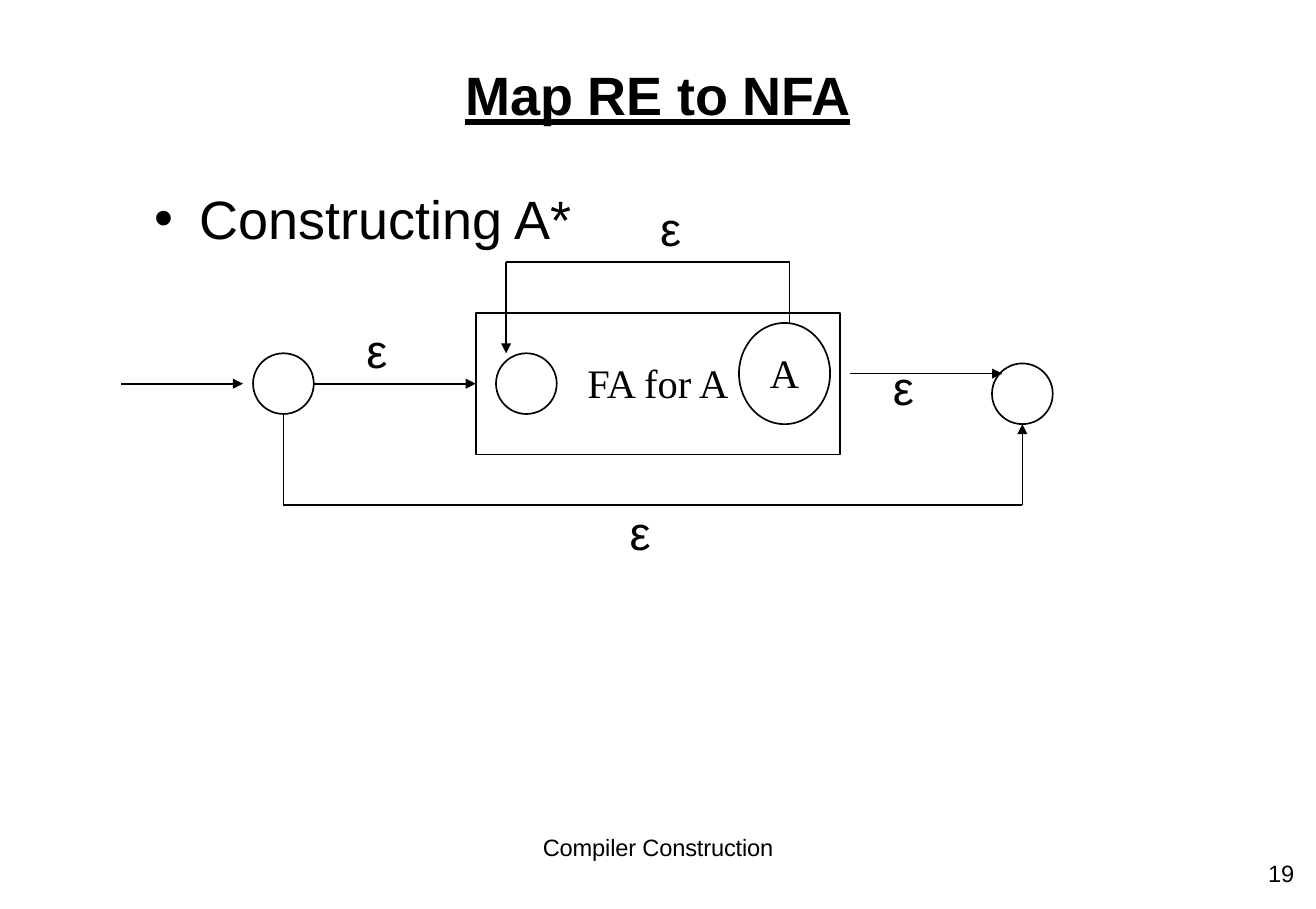
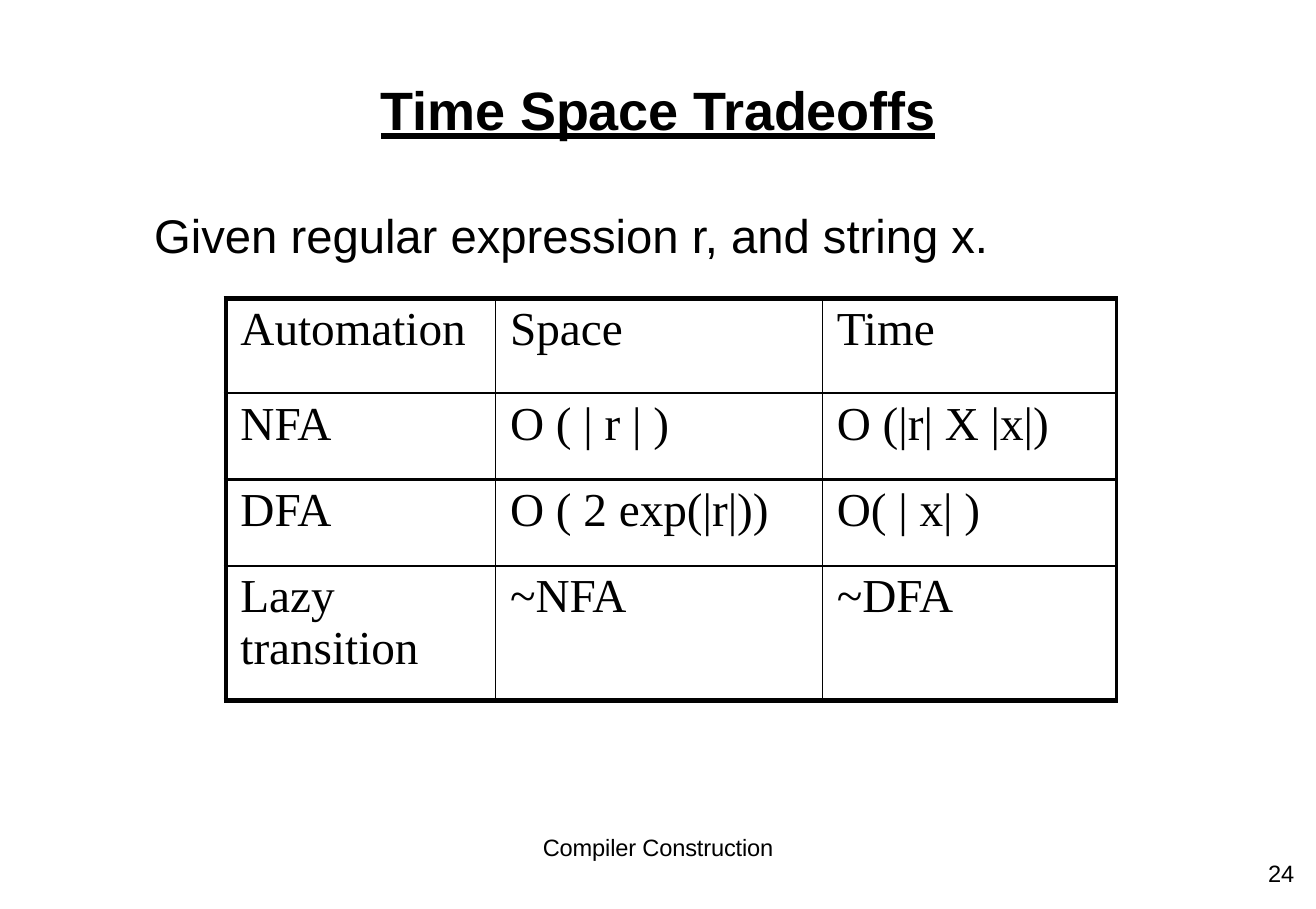
from itertools import pairwise

from lxml import etree
from pptx import Presentation
from pptx.dml.color import RGBColor
from pptx.enum.shapes import MSO_CONNECTOR, MSO_SHAPE
from pptx.enum.text import MSO_ANCHOR, MSO_UNDERLINE, PP_ALIGN
from pptx.oxml.ns import qn
from pptx.util import Inches, Pt

STRAIGHT = MSO_CONNECTOR.STRAIGHT
OVAL, RECTANGLE = MSO_SHAPE.OVAL, MSO_SHAPE.RECTANGLE
LEFT, CENTER = PP_ALIGN.LEFT, PP_ALIGN.CENTER
TOP, MIDDLE = MSO_ANCHOR.TOP, MSO_ANCHOR.MIDDLE
HEAVY = MSO_UNDERLINE.HEAVY_LINE

SLIDE_WIDTH, SLIDE_HEIGHT = Pt(780), Pt(539)
BODY_LEFT = 1.25
SANS, SERIF = "Arial", "Times New Roman"
INK, STROKE = "000000", "010101"
LEFT_SITE = 1
UNIT = 1 / 12  # inches per step of the automaton grid


def color(hex_string):
    return RGBColor.from_string(hex_string)


def add_run(paragraph, text, size, font=SANS, bold=False, underline=False, spacing=0):
    """Add a run; spacing is in hundredths of a point."""
    run = paragraph.add_run()
    run.text = text
    run.font.name, run.font.size = font, Pt(size)
    run.font.bold, run.font.underline = bold, underline
    run.font.color.rgb = color(INK)
    if spacing:
        run._r.get_or_add_rPr().set("spc", str(spacing))


def set_frame(frame, inset_top=0.0, inset_bottom=0.0, anchor=TOP, wrap=True):
    frame.margin_left = frame.margin_right = 0
    frame.margin_top, frame.margin_bottom = Inches(inset_top), Inches(inset_bottom)
    frame.vertical_anchor, frame.word_wrap = anchor, wrap


def add_text(slide, box, text, size, align=LEFT, inset_top=0.01, bullet=False, **style):
    frame = slide.shapes.add_textbox(*map(Inches, box)).text_frame
    set_frame(frame, inset_top)
    paragraph = frame.paragraphs[0]
    paragraph.alignment = align
    if bullet:
        properties = paragraph._p.get_or_add_pPr()
        properties.set("marL", str(Inches(0.39)))
        properties.set("indent", str(-Inches(0.37)))
        etree.SubElement(properties, qn("a:buFont"), typeface=SANS)
        etree.SubElement(properties, qn("a:buChar"), char="•")
    add_run(paragraph, text, size, **style)


def add_base_slide(deck, title, title_top, number):
    """Add a blank slide with the shared title, footer and page number."""
    slide = deck.slides.add_slide(deck.slide_layouts[6])
    width = SLIDE_WIDTH.inches
    add_text(slide, (0, title_top, width, 0.56), title, 32, CENTER,
             bold=True, underline=HEAVY, spacing=-10)
    add_text(slide, (0, 6.86, width, 0.25), "Compiler Construction", 14, CENTER,
             inset_top=0, spacing=-10)
    add_text(slide, (10.44, 7.07, 0.3, 0.25), number, 14, inset_top=0, spacing=-10)
    return slide


def add_node(slide, kind, box, label=""):
    node = slide.shapes.add_shape(kind, *map(Inches, box))
    node.shadow.inherit = False
    node.fill.background()
    node.line.color.rgb, node.line.width = color(STROKE), Pt(1)
    if label:
        set_frame(node.text_frame, inset_bottom=0.02, anchor=MIDDLE, wrap=False)
        paragraph = node.text_frame.paragraphs[0]
        paragraph.alignment = CENTER
        add_run(paragraph, label, 24, SERIF)
    return node


def add_line(slide, start, end, arrow):
    line = slide.shapes.add_connector(STRAIGHT, *map(Inches, (*start, *end)))
    line.line.color.rgb, line.line.width = color(STROKE), Pt(1)
    properties = line.element.spPr
    if arrow:
        etree.SubElement(properties.find(qn("a:ln")), qn("a:tailEnd"), type="triangle")
    etree.SubElement(properties, qn("a:effectLst"))
    return line


def add_route(slide, corners):
    """Draw straight pieces through the corners; the last one has the arrowhead."""
    pieces = list(pairwise(corners))
    lines = [add_line(slide, *piece, arrow=piece == pieces[-1]) for piece in pieces]
    return lines[-1]


def add_star_automaton(slide, left, top):
    """Draw the automaton of A*, on a grid whose origin is (left, top)."""
    def at(column, row):
        return left + column * UNIT, top + row * UNIT

    def cell_box(column, row, columns, rows):
        return *at(column, row), columns * UNIT, rows * UNIT

    inner_automaton = add_node(slide, RECTANGLE, cell_box(35, 5, 36, 14), "FA for A")
    add_node(slide, OVAL, cell_box(61, 6, 9, 10), "A")
    for column, row in ((13, 9), (37, 9), (86, 10)):
        add_node(slide, OVAL, cell_box(column, row, 6, 6))

    into_inner = add_route(slide, [at(19, 12), at(35, 12)])
    into_inner.end_connect(inner_automaton, LEFT_SITE)
    routes = (
        ((0, 12), (12, 12)),
        ((66, 6), (66, 0), (38, 0), (38, 9)),
        ((72, 11), (87, 11)),
        ((16, 15), (16, 24), (89, 24), (89, 16)),
    )
    for route in routes:
        add_route(slide, [at(*corner) for corner in route])

    for column, row in ((24.2, 5.7), (76.2, 9.4), (53.2, -6.3), (50.2, 23.7)):
        add_text(slide, cell_box(column, row, 3, 6), "ε", 28)


def set_borders(cell, **widths):
    """Set the widths in points of the sides L, R, T and B, in that order."""
    properties = cell._tc.get_or_add_tcPr()
    for side, width in widths.items():
        border = etree.SubElement(properties, qn(f"a:ln{side}"), w=str(Pt(width)))
        fill = etree.SubElement(border, qn("a:solidFill"))
        etree.SubElement(fill, qn("a:srgbClr"), val=STROKE)


def add_cost_table(slide, left, top, columns, rows, contents):
    box = (left, top, sum(columns), sum(rows))
    table = slide.shapes.add_table(len(rows), len(columns), *map(Inches, box)).table
    table.first_row = table.horz_banding = False
    for column, width in zip(table.columns, columns):
        column.width = Inches(width)
    last_row, last_column = len(rows) - 1, len(columns) - 1
    for r, (row, height) in enumerate(zip(table.rows, rows)):
        row.height = Inches(height)
        for c, cell in enumerate(row.cells):
            cell.margin_left, cell.margin_top = Inches(0.12), Inches(0.04)
            cell.margin_right = cell.margin_bottom = 0
            set_borders(cell,
                        L=3 if c == 0 else 1,
                        R=2.25 if c == last_column else 1,
                        T=3 if r == 0 else 1.5,
                        B=3 if r == last_row else 1.5)
            cell.fill.background()
            add_run(cell.text_frame.paragraphs[0], contents[r][c], 28, SERIF)


def build_star_slide(deck):
    slide = add_base_slide(deck, "Map RE to NFA", 0.5, "19")
    add_text(slide, (BODY_LEFT, 1.52, 4, 0.56), "Constructing A*", 32, bullet=True)
    add_star_automaton(slide, 1, 2.16)


def build_tradeoffs_slide(deck):
    slide = add_base_slide(deck, "Time Space Tradeoffs", 0.62, "24")
    add_text(slide, (BODY_LEFT + 0.02, 1.69, 8, 0.5),
             "Given regular expression r, and string x.", 28)
    costs = (
        ("Automation", "Space", "Time"),
        ("NFA", "O ( | r | )", "O (|r| X |x|)"),
        ("DFA", "O ( 2 exp(|r|))", "O( | x| )"),
        ("Lazy transition", "~NFA", "~DFA"),
    )
    add_cost_table(slide, 1.86, 2.46, (2.22, 2.69, 2.42),
                   (0.78, 0.71, 0.71, 1.11), costs)


def main():
    deck = Presentation()
    deck.slide_width, deck.slide_height = SLIDE_WIDTH, SLIDE_HEIGHT
    build_star_slide(deck)
    build_tradeoffs_slide(deck)
    deck.save("out.pptx")


if __name__ == "__main__":
    main()
